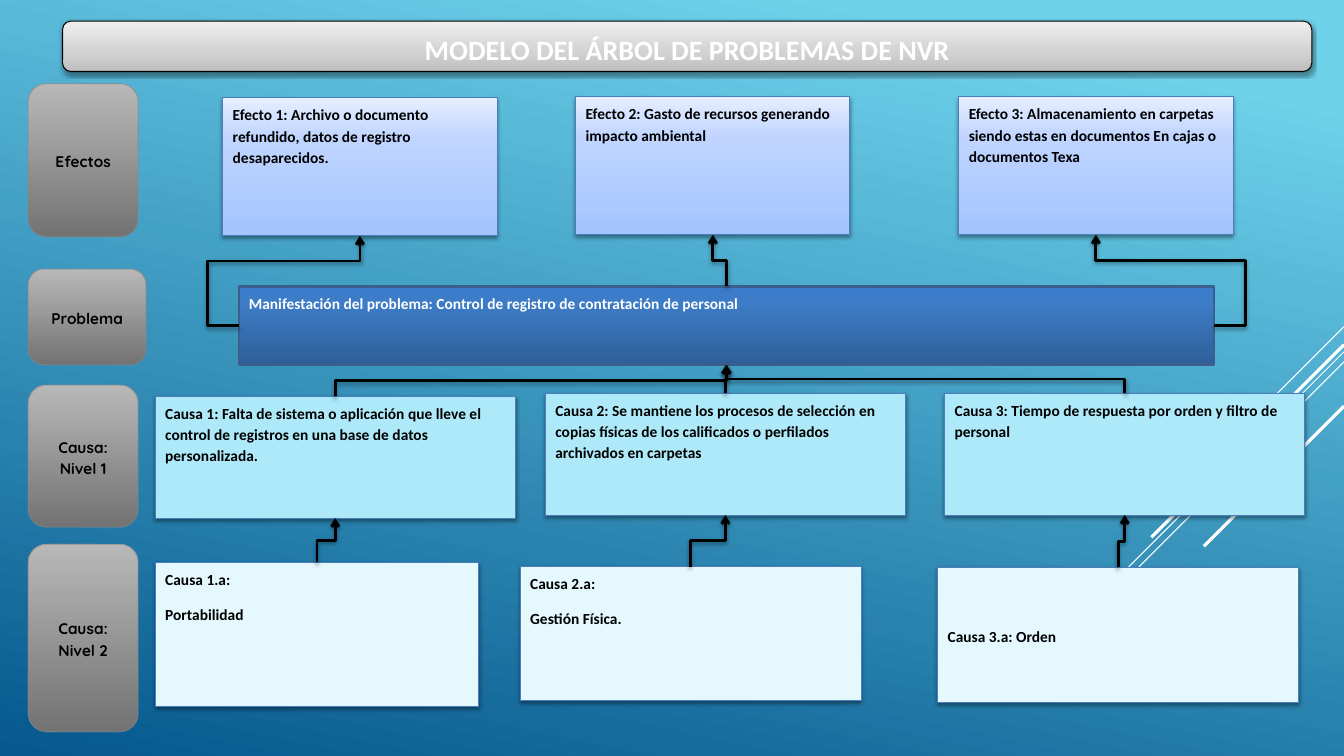
from pptx import Presentation
from pptx.dml.color import RGBColor
from pptx.enum.shapes import MSO_CONNECTOR, MSO_SHAPE
from pptx.enum.text import MSO_ANCHOR, PP_ALIGN
from pptx.oxml import parse_xml
from pptx.oxml.ns import nsdecls, qn
from pptx.util import Inches, Pt

WIDTH, HEIGHT = 13.33, 7.5
BLACK, WHITE = RGBColor(0, 0, 0), RGBColor(255, 255, 255)
LABEL_EDGE = RGBColor(0x89, 0x89, 0x89)
BOX_EDGE = RGBColor(0x4B, 0x7E, 0xBC)
PROBLEM_EDGE = RGBColor(0x3A, 0x5F, 0x8C)
CAUSE = RGBColor(0xAD, 0xE9, 0xF8)
DETAIL = RGBColor(0xE4, 0xF8, 0xFD)
SKY = [(10, RGBColor(0x6E, 0xD2, 0xEB)), (100, RGBColor(0x06, 0x58, 0x8E))]
LABEL = [(0, RGBColor(0x73, 0x73, 0x73)), (100, RGBColor(0xB8, 0xB8, 0xB8))]
EFFECT = [(0, RGBColor(0xA4, 0xC4, 0xFF)), (70, RGBColor(0xBF, 0xD4, 0xFF)), (100, RGBColor(0xE6, 0xEE, 0xFF))]
PROBLEM = [(0, RGBColor(0x2F, 0x5F, 0x99)), (80, RGBColor(0x3D, 0x7C, 0xC7)), (100, RGBColor(0x3A, 0x7C, 0xCB))]
SILVER = [(0, RGBColor(0xBD, 0xBD, 0xBD)), (35, RGBColor(0xD1, 0xD1, 0xD1)), (100, RGBColor(0xEE, 0xEE, 0xEE))]

TITLE = "MODELO DEL ÁRBOL DE PROBLEMAS DE NVR"
MANIFESTATION = "Manifestación del problema: Control de registro de contratación de personal"
LABELS = [("Efectos", 0.83, 1.09, 1.52), ("Problema", 2.67, 1.17, 0.95),
          ("Causa: Nivel 1", 3.82, 1.09, 1.41), ("Causa: Nivel 2", 5.4, 1.09, 1.86)]
EFFECTS = [("Efecto 1: Archivo o documento refundido, datos de registro desaparecidos.", 2.21, 0.97),
           ("Efecto 2: Gasto de recursos generando impacto ambiental", 5.71, 0.96),
           ("Efecto 3: Almacenamiento en carpetas siendo estas en documentos En cajas o documentos Texa", 9.51, 0.96)]
CAUSES = [("Causa 1: Falta de sistema o aplicación que lleve el control de registros en una base de datos "
           "personalizada.", 1.54, 3.93),
          ("Causa 2: Se mantiene los procesos de selección en copias físicas de los calificados o perfilados "
           "archivados en carpetas", 5.41, 3.9),
          ("Causa 3: Tiempo de respuesta por orden y filtro de personal", 9.37, 3.9)]
DETAILS = [("Causa 1.a:\nPortabilidad", (1.54, 5.58, 3.21, 1.43), MSO_ANCHOR.TOP),
           ("Causa 2.a:\nGestión Física.", (5.16, 5.62, 3.38, 1.33), MSO_ANCHOR.TOP),
           ("Causa 3.a: Orden", (9.3, 5.63, 3.58, 1.34), MSO_ANCHOR.MIDDLE)]
RAYS = [(3.24, 1, 0.75), (3.49, 3.26, 0.75), (3.59, 2.07, 0.75), (3.42, 1.91, 2.25), (4.03, 1.39, 2.25)]

EFFECT_SIZE, CAUSE_SIZE = (2.72, 1.37), (3.57, 1.21)
PROBLEM_AREA = (2.37, 2.84, 9.67, 0.78)
DETOUR = 0.31


def paint_gradient(fill, holder, stops, angle):
    fill.gradient()
    fill.gradient_angle = angle
    stop_list = next(holder.iter(qn("a:gsLst")))
    for stop in list(stop_list):
        stop_list.remove(stop)
    for position, color in stops:
        stop_list.append(parse_xml(f'<a:gs {nsdecls("a")} pos="{position * 1000}">'
                                   f'<a:srgbClr val="{color}"/></a:gs>'))


def set_shadow(properties, visible):
    for effects in properties.findall(qn("a:effectLst")):
        properties.remove(effects)
    shadow = ('<a:outerShdw blurRad="39370" dist="20320" dir="5400000" rotWithShape="0">'
              '<a:srgbClr val="000000"><a:alpha val="38000"/></a:srgbClr></a:outerShdw>')
    properties.append(parse_xml(f'<a:effectLst {nsdecls("a")}>{shadow if visible else ""}</a:effectLst>'))


def write(shape, text, font="Calibri", size=11, color=BLACK, align=PP_ALIGN.LEFT, anchor=MSO_ANCHOR.TOP):
    frame = shape.text_frame
    frame.word_wrap = True
    frame.vertical_anchor = anchor
    for index, line in enumerate(text.split("\n")):
        para = frame.add_paragraph() if index else frame.paragraphs[0]
        para.alignment, para.line_spacing, para.space_after = align, 1.15, Pt(10)
        span = para.add_run()
        span.text = line
        span.font.name, span.font.size, span.font.bold = font, Pt(size), True
        span.font.color.rgb = color


def add_box(page, area, text, fill, edge=BOX_EDGE, weight=0.75, preset=MSO_SHAPE.FLOWCHART_PROCESS,
            shadow=True, **text_format):
    box = page.shapes.add_shape(preset, *map(Inches, area))
    box.shadow.inherit = False
    if isinstance(fill, list):
        paint_gradient(box.fill, box.element.spPr, fill, 90)
    else:
        box.fill.solid()
        box.fill.fore_color.rgb = fill
    box.line.color.rgb, box.line.width = edge, Pt(weight)
    set_shadow(box.element.spPr, shadow)
    write(box, text, **text_format)
    return box


def add_line(page, kind, start, end, color, weight, shadow=False):
    line = page.shapes.add_connector(kind, *map(Inches, (*start, *end)))
    line.line.color.rgb, line.line.width = color, Pt(weight)
    if shadow:
        outline = line.element.spPr.find(qn("a:ln"))
        outline.append(parse_xml(f'<a:tailEnd {nsdecls("a")} type="arrow"/>'))
    set_shadow(line.element.spPr, shadow)
    return line


def add_rising_arrow(page, start, end):
    middle_x, middle_y = (start[0] + end[0]) / 2, (start[1] + end[1]) / 2
    turned = [(middle_x + middle_y - y, middle_y + x - middle_x) for x, y in (start, end)]
    arrow = add_line(page, MSO_CONNECTOR.ELBOW, *turned, BLACK, 2, shadow=True)
    arrow.rotation = 270


def add_side_arrow(page, start, end):
    arrow = add_line(page, MSO_CONNECTOR.ELBOW, start, end, BLACK, 2, shadow=True)
    geometry = arrow.element.spPr.find(qn("a:prstGeom"))
    geometry.set("prst", "bentConnector4")
    shares = (-DETOUR / abs(end[0] - start[0]), 0.72)
    guides = geometry.find(qn("a:avLst"))
    for number, share in enumerate(shares, 1):
        guides.append(parse_xml(f'<a:gd {nsdecls("a")} name="adj{number}" fmla="val {round(share * 100000)}"/>'))


def top(area):
    return area[0] + area[2] / 2, area[1]


def bottom(area):
    return area[0] + area[2] / 2, area[1] + area[3]


def main():
    """Build the problem tree slide."""
    deck = Presentation()
    deck.slide_width, deck.slide_height = Inches(WIDTH), Inches(HEIGHT)
    page = deck.slides.add_slide(deck.slide_layouts[6])
    paint_gradient(page.background.fill, page.element, SKY, 258)
    for y, reach, weight in RAYS:
        add_line(page, MSO_CONNECTOR.STRAIGHT, (WIDTH, y), (WIDTH - reach, y + reach), WHITE, weight)

    centred = {"align": PP_ALIGN.CENTER, "anchor": MSO_ANCHOR.MIDDLE}
    for text, y, width, height in LABELS:
        label = add_box(page, (0.28, y, width, height), text, LABEL, LABEL_EDGE,
                        preset=MSO_SHAPE.ROUNDED_RECTANGLE, shadow=False, font="Quicksand", **centred)
        edge = next(label.element.spPr.find(qn("a:ln")).iter(qn("a:srgbClr")))
        edge.append(parse_xml(f'<a:alpha {nsdecls("a")} val="60000"/>'))

    add_box(page, PROBLEM_AREA, MANIFESTATION, PROBLEM, PROBLEM_EDGE, 2, shadow=False, color=WHITE)
    effect_areas = [(x, y, *EFFECT_SIZE) for _, x, y in EFFECTS]
    cause_areas = [(x, y, *CAUSE_SIZE) for _, x, y in CAUSES]
    for (text, *_), area in zip(EFFECTS, effect_areas):
        add_box(page, area, text, EFFECT)
    for (text, *_), area in zip(CAUSES, cause_areas):
        add_box(page, area, text, CAUSE)
    for text, area, anchor in DETAILS:
        add_box(page, area, text, DETAIL, anchor=anchor)

    for (_, detail, _), cause in zip(DETAILS, cause_areas):
        add_rising_arrow(page, top(detail), bottom(cause))
        add_rising_arrow(page, top(cause), bottom(PROBLEM_AREA))
    add_rising_arrow(page, top(PROBLEM_AREA), bottom(effect_areas[1]))
    left, y, width, height = PROBLEM_AREA
    add_side_arrow(page, (left, y + height / 2), bottom(effect_areas[0]))
    add_side_arrow(page, (left + width, y + height / 2), bottom(effect_areas[2]))

    add_box(page, (0.62, 0.21, 12.39, 0.5), TITLE, SILVER, BLACK,
            preset=MSO_SHAPE.FLOWCHART_ALTERNATE_PROCESS, size=20, color=WHITE, **centred)
    deck.save("out.pptx")


if __name__ == "__main__":
    main()
